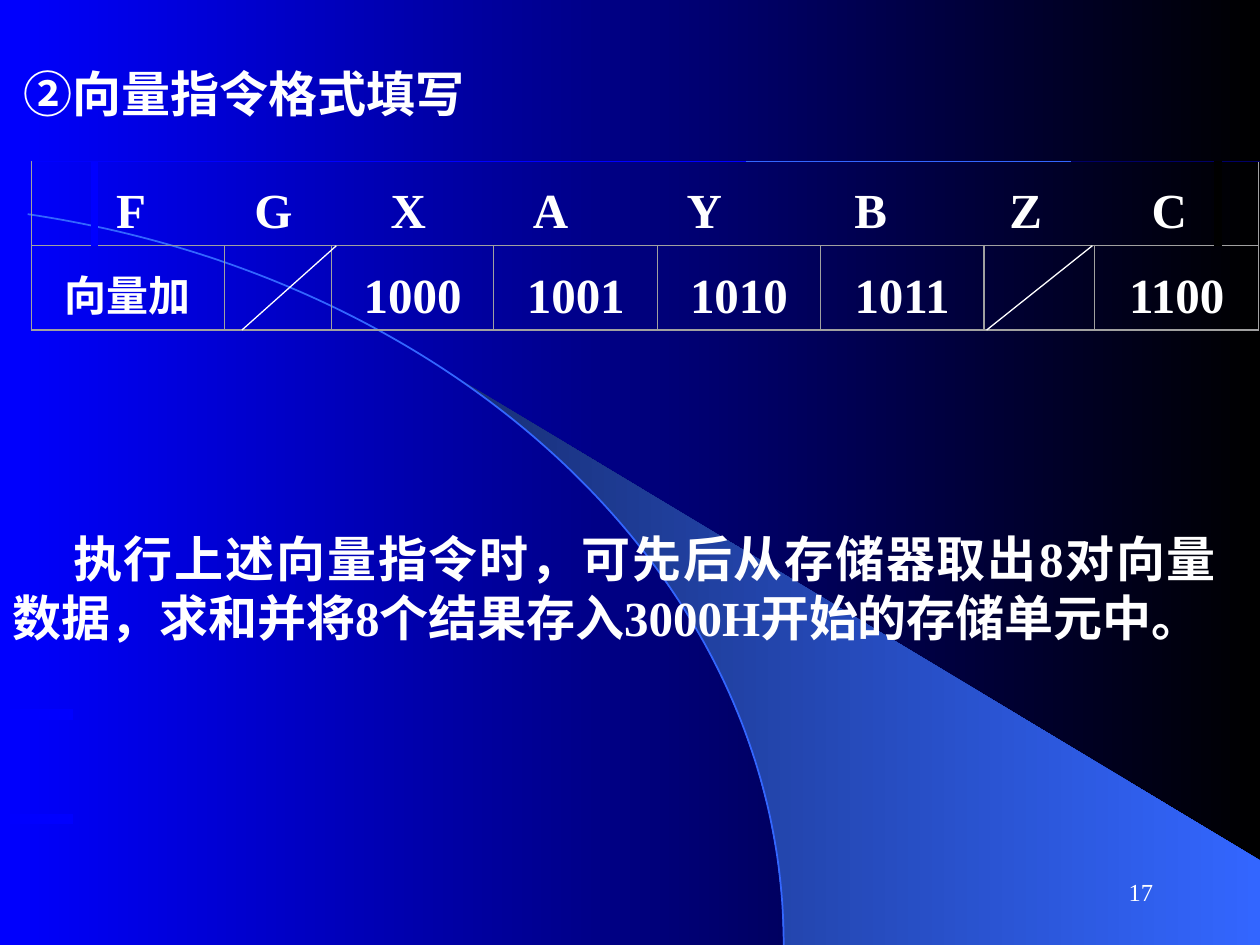
from typing import NamedTuple

from lxml.etree import SubElement
from pptx import Presentation
from pptx.dml.color import RGBColor
from pptx.enum.text import MSO_ANCHOR as Anchor, MSO_AUTO_SIZE as Auto, PP_ALIGN as Align
from pptx.enum.shapes import MSO_CONNECTOR as Conn
from pptx.oxml.ns import qn
from pptx.util import Inches, Pt

FONT = "Times New Roman"
WHITE, BLUE, SKY, NAVY, BLACK, GREY = "FFFFFF", "0000FF", "3366FF", "000066", "000000", "A0A0A0"
LEFT, TOP, ROW = 0.25, 1.28, 0.67
MID, LOW = TOP + ROW, TOP + 2 * ROW
PAD = 0.05
NO_STYLE = "{2D5ABB26-0587-4C30-8999-92F81FD0307C}"
KNOTS = [(0.22, 1.7), (3.64, 2.21), (6.22, 4.61), (6.22, 7.5)]


class Field(NamedTuple):
    name: str
    mid: float
    width: float
    value: str
    size: int = 28


class Stroke(NamedTuple):
    x1: float
    y1: float
    x2: float
    y2: float
    color: str
    width: float = 0.75


FIELDS = [
    Field("F", 1.04, 1.53, "向量加", 24),
    Field("G", 2.17, 0.85, ""),
    Field("X", 3.24, 1.29, "1000"),
    Field("A", 4.37, 1.3, "1001"),
    Field("Y", 5.59, 1.29, "1010"),
    Field("B", 6.91, 1.3, "1011"),
    Field("Z", 8.14, 0.88, ""),
    Field("C", 9.28, 1.3, "1100"),
]
STROKES = [
    Stroke(0.58, 6.5, -0.25, 6.5, BLUE, 6),
    Stroke(0.58, 5.67, -0.25, 5.67, BLUE, 6),
    Stroke(0.75, MID, 0.75, TOP, BLUE, 4.5),
    Stroke(LEFT, TOP, 5.92, TOP, BLUE),
    Stroke(5.92, TOP, 8.5, TOP, SKY),
    Stroke(8.5, TOP, 10, TOP, NAVY),
    Stroke(9.67, TOP, 9.67, MID, BLACK, 4.5),
    Stroke(1.92, LOW, 2.67, MID, WHITE),
    Stroke(7.83, LOW, 8.67, MID, WHITE),
]


def rgb(code: str) -> RGBColor:
    """Turn a hex string into a colour."""
    return RGBColor.from_string(code)


def write(frame, text: str, *, size=28, bold=True, align=Align.LEFT, indent=0.0, tabs=()) -> None:
    """Fill a text frame with one formatted paragraph."""
    para = frame.paragraphs[0]
    props = para._p.get_or_add_pPr()
    props.set("hangingPunct", "0")
    if indent:
        props.set("indent", str(Inches(indent)))
    if tabs:
        stops = SubElement(props, qn("a:tabLst"))
        for pos in tabs:
            SubElement(stops, qn("a:tab"), pos=str(Inches(pos)), algn="ctr")
    para.alignment = align
    para.space_before = Pt(0)
    run = para.add_run()
    run.text = text
    font = run.font
    font.name, font.size, font.bold = FONT, Pt(size), bold
    font.color.rgb = rgb(WHITE)


def place(shape, left: float, top: float, width: float, height: float):
    """Set a text shape's box and return its frame."""
    shape.left, shape.top = Inches(left), Inches(top)
    shape.width, shape.height = Inches(width), Inches(height)
    frame = shape.text_frame
    frame.word_wrap, frame.auto_size = True, Auto.NONE
    frame.vertical_anchor = Anchor.MIDDLE
    return frame


def blend(fill, first: str, last: str) -> None:
    """Apply a left to right gradient."""
    fill.gradient()
    fill.gradient_angle = 0
    for stop, code in zip(fill.gradient_stops, (first, last)):
        stop.color.rgb = rgb(code)


def arc(start: float, steps: int = 15) -> list[tuple[float, float]]:
    """Return points on the big curve from start to its end."""
    points = []
    for step in range(steps + 1):
        t = start + (1 - start) * step / steps
        parts = ((1 - t) ** 3, 3 * t * (1 - t) ** 2, 3 * t * t * (1 - t), t ** 3)
        points.append(tuple(sum(p * k[i] for p, k in zip(parts, KNOTS)) for i in (0, 1)))
    return points


def trace(slide, points: list[tuple[float, float]], close: bool, level: int):
    """Draw a freeform behind the text."""
    spots = [(Inches(x), Inches(y)) for x, y in points]
    pen = slide.shapes.build_freeform(*spots[0])
    pen.add_line_segments(spots[1:], close=close)
    shape = pen.convert_to_shape()
    shape.shadow.inherit = False
    shape.element.getparent().insert(2 + level, shape.element)
    return shape


def bend(shape) -> None:
    """Turn a freeform's three segments into one cubic curve."""
    route = shape.element.find(".//" + qn("a:path"))
    cubic = SubElement(route, qn("a:cubicBezTo"))
    for seg in route.findall(qn("a:lnTo")):
        cubic.append(seg[0])
        route.remove(seg)


def draw(slide, item: Stroke) -> None:
    """Draw one straight line."""
    ends = [Inches(v) for v in item[:4]]
    line = slide.shapes.add_connector(Conn.STRAIGHT, *ends)
    line.line.color.rgb = rgb(item.color)
    line.line.width = Pt(item.width)
    SubElement(line.element.spPr, qn("a:effectLst"))


def frame_cell(cell) -> None:
    """Give a cell thin grey borders, margins and no fill."""
    props = cell._tc.get_or_add_tcPr()
    for side in ("lnL", "lnR", "lnT", "lnB"):
        edge = SubElement(props, qn(f"a:{side}"), w=str(Pt(0.75)))
        paint = SubElement(edge, qn("a:solidFill"))
        SubElement(paint, qn("a:srgbClr"), val=GREY)
    cell.fill.background()
    cell.margin_left = cell.margin_right = Inches(PAD)
    cell.vertical_anchor = Anchor.BOTTOM


def add_grid(slide) -> None:
    """Build the instruction format table."""
    box = [Inches(v) for v in (LEFT, TOP, sum(f.width for f in FIELDS), 2 * ROW)]
    grid = slide.shapes.add_table(2, len(FIELDS), *box).table
    grid.first_row = grid.horz_banding = False
    grid._tbl.tblPr[0].text = NO_STYLE
    for col, field in enumerate(FIELDS):
        grid.columns[col].width = Inches(field.width)
        for row in range(2):
            frame_cell(grid.cell(row, col))
        if field.value:
            write(grid.cell(1, col).text_frame, field.value, size=field.size, align=Align.CENTER)
    head = grid.cell(0, 0)
    head.merge(grid.cell(0, len(FIELDS) - 1))
    names = "".join("\t" + f.name for f in FIELDS)
    write(head.text_frame, names, tabs=[f.mid - LEFT - PAD for f in FIELDS])


def main() -> None:
    """Build and save the slide."""
    deck = Presentation()
    deck.slide_width, deck.slide_height = Inches(10), Inches(7.5)
    slide = deck.slides.add_slide(deck.slide_layouts[0])
    blend(slide.background.fill, BLUE, BLACK)

    wedge = trace(slide, arc(0.37) + [(10, 7.5), (10, 6.83)], True, 0)
    blend(wedge.fill, "182F76", SKY)
    wedge.line.fill.background()
    curve = trace(slide, KNOTS, False, 1)
    bend(curve)
    curve.fill.background()
    curve.line.color.rgb = rgb(SKY)
    curve.line.width = Pt(1)

    title, body = slide.placeholders
    write(place(title, 0.09, 0.45, 5.83, 0.57), "②向量指令格式填写")
    write(
        place(body, 0, 3.99, 9.75, 1.34),
        "执行上述向量指令时，可先后从存储器取出8对向量数据，求和并将8个结果存入3000H开始的存储单元中。",
        align=Align.JUSTIFY, indent=0.48,
    )
    add_grid(slide)
    for item in STROKES:
        draw(slide, item)
    page = slide.shapes.add_textbox(0, 0, 0, 0)
    write(place(page, 7.17, 6.83, 2.08, 0.5), "17", size=14, bold=False, align=Align.RIGHT)
    deck.save("out.pptx")


if __name__ == "__main__":
    main()
